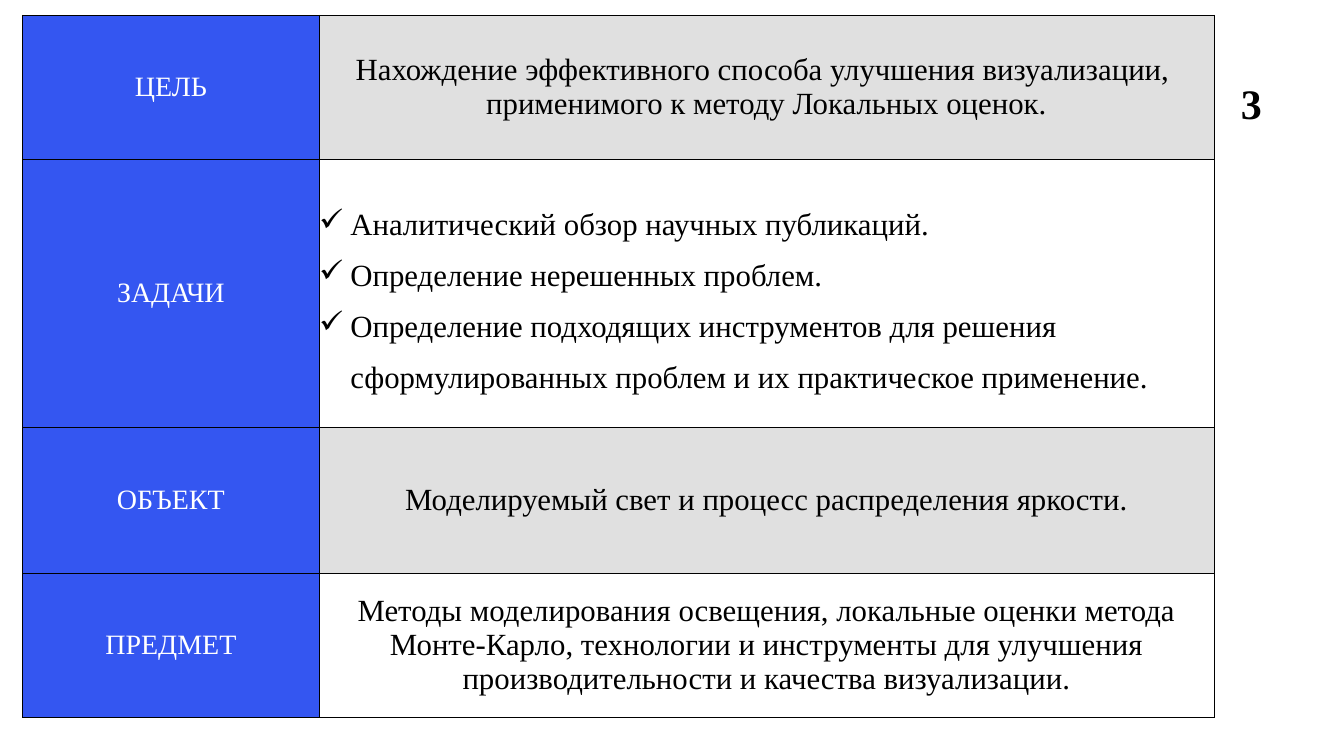
import pptx
import pptx.util
import pptx.dml.color
import pptx.enum.text
import pptx.oxml.ns
from lxml import etree

Cm, Pt = pptx.util.Cm, pptx.util.Pt
PP_ALIGN = pptx.enum.text.PP_ALIGN
FONT = "Times New Roman"
COLORS = {"blue": "3456F1", "grey": "E0E0E0", "white": "FFFFFF", "black": "000000"}
COL_WIDTHS = [14.94, 45.09]
ROWS = [
    ("ЦЕЛЬ", 7.29, False, [
        "Нахождение эффективного способа улучшения визуализации, ",
        "применимого к методу Локальных оценок."]),
    ("ЗАДАЧИ", 13.46, True, [
        "Аналитический обзор научных публикаций.",
        "Определение нерешенных проблем.",
        "Определение подходящих инструментов для решения "
        "сформулированных проблем и их практическое применение."]),
    ("ОБЪЕКТ", 7.37, False, ["Моделируемый свет и процесс распределения яркости."]),
    ("ПРЕДМЕТ", 7.29, False, [
        "Методы моделирования освещения, локальные оценки метода Монте-Карло, "
        "технологии и инструменты для улучшения производительности "
        "и качества визуализации."]),
]


def rgb(name):
    return pptx.dml.color.RGBColor.from_string(COLORS[name])


def sub(parent, tag, **attrs):
    return etree.SubElement(parent, pptx.oxml.ns.qn(tag), **attrs)


def add_run(p, text, size, color, bold=False):
    r = p.add_run()
    r.text = text
    r.font.name = FONT
    r.font.size = Pt(size)
    r.font.bold = bold
    r.font.color.rgb = rgb(color)


def add_check(p):
    indent = Cm(1.57)
    pPr = p._p.get_or_add_pPr()
    pPr.set("marL", str(indent))
    pPr.set("indent", str(-indent))
    sub(pPr, "a:buChar", char="✓")
    p.line_spacing = 1.5


def set_borders(cell):
    tcPr = cell._tc.get_or_add_tcPr()
    for side in "LRTB":
        ln = sub(tcPr, f"a:ln{side}", w=str(Pt(1)))
        sub(sub(ln, "a:solidFill"), "a:srgbClr", val=COLORS["black"])


def fill_cell(cell, lines, size, color, fill, checked=False):
    cell.margin_left = cell.margin_right = cell.margin_top = cell.margin_bottom = 0
    cell.vertical_anchor = pptx.enum.text.MSO_ANCHOR.MIDDLE
    set_borders(cell)
    cell.fill.solid()
    cell.fill.fore_color.rgb = rgb(fill)
    tf = cell.text_frame
    for i, line in enumerate(lines):
        p = tf.add_paragraph() if i else tf.paragraphs[0]
        if checked:
            add_check(p)
        else:
            p.alignment = PP_ALIGN.CENTER
        add_run(p, line, size, color)


def add_goals_table(s, left, top):
    width, height = sum(COL_WIDTHS), sum(row[1] for row in ROWS)
    table = s.shapes.add_table(len(ROWS), len(COL_WIDTHS), Cm(left), Cm(top),
                               Cm(width), Cm(height)).table
    for column, w in zip(table.columns, COL_WIDTHS):
        column.width = Cm(w)
    for i, (label, h, checked, lines) in enumerate(ROWS):
        table.rows[i].height = Cm(h)
        fill_cell(table.cell(i, 0), [label], 40, "white", "blue")
        fill_cell(table.cell(i, 1), lines, 44, "black",
                  "white" if i % 2 else "grey", checked)


def add_page_number(s, left, top, width, height, number):
    tf = s.shapes.add_textbox(Cm(left), Cm(top), Cm(width), Cm(height)).text_frame
    tf.word_wrap = False
    tf.auto_size = pptx.enum.text.MSO_AUTO_SIZE.SHAPE_TO_FIT_TEXT
    add_run(tf.paragraphs[0], number, 60, "black", bold=True)


def main():
    prs = pptx.Presentation()
    prs.slide_width, prs.slide_height = Cm(67.72), Cm(38.1)
    s = prs.slides.add_slide(prs.slide_layouts[6])
    add_goals_table(s, 1.14, 0.76)
    add_page_number(s, 62.28, 3.78, 1.57, 2.82, "3")
    prs.save("out.pptx")


if __name__ == "__main__":
    main()
